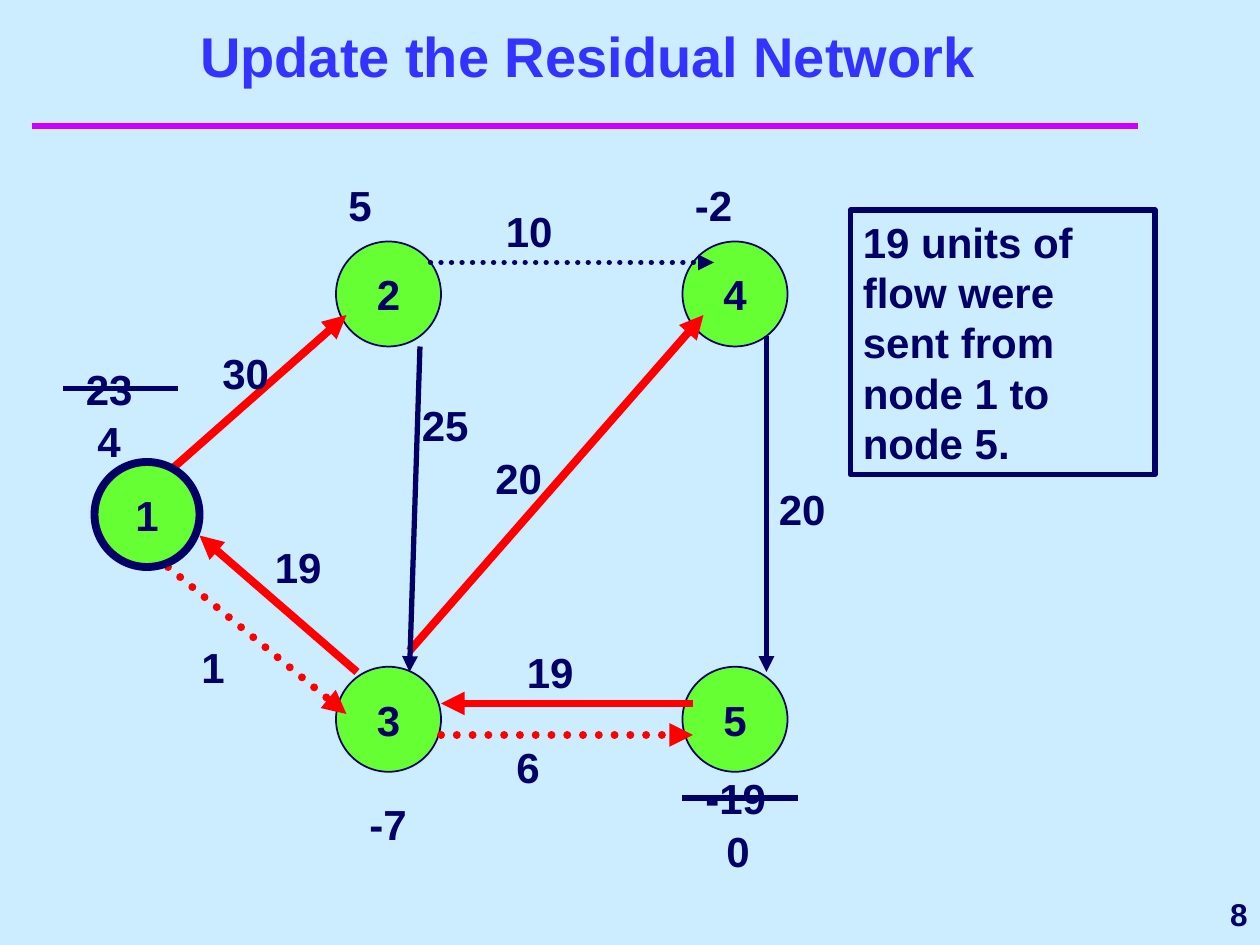
from dataclasses import dataclass

from lxml import etree
from pptx import Presentation
from pptx.dml.color import RGBColor
from pptx.enum import dml, shapes, text
from pptx.oxml import ns
from pptx.util import Emu, Pt

EMU_PER_PX = 7620  # 120 px to the inch
NODE_SIZE = 100
LABEL_HEIGHT = 60

SKY = RGBColor(0xCC, 0xEC, 0xFF)
MAGENTA = RGBColor(0xCC, 0x00, 0xFF)
BLUE = RGBColor(0x33, 0x33, 0xFF)
NAVY = RGBColor(0x00, 0x00, 0x66)
GREEN = RGBColor(0x66, 0xFF, 0x33)
RED = RGBColor(0xFF, 0x00, 0x00)


@dataclass
class Node:
    name: str
    left: int
    top: int
    line_width: float = 1


@dataclass
class Line:
    x1: int
    y1: int
    x2: int
    y2: int
    color: RGBColor = NAVY
    width: float = 3
    arrow: bool = True
    dotted: bool = False


@dataclass
class Label:
    words: str
    left: int
    top: int
    width: int = 90


NODES = [
    Node("2", 320, 230),
    Node("3", 320, 635),
    Node("5", 650, 635),
    Node("4", 650, 230),
]
SOURCE_NODE = Node("1", 90, 440, 4.5)

EDGES = [
    Line(160, 450, 330, 300, RED, 4.5),
    Line(410, 250, 680, 250, dotted=True),
    Line(730, 320, 730, 640),
    Line(390, 620, 670, 300, RED, 4.5),
    Line(160, 540, 330, 680, RED, 4.5, dotted=True),
    Line(420, 700, 660, 700, RED, 4.5, dotted=True),
    Line(400, 330, 390, 640),
]
REVERSE_EDGES = [
    Line(340, 640, 190, 510, RED, 4.5),
    Line(660, 670, 420, 670, RED, 4.5),
]
STRIKES = [
    Line(650, 760, 760, 760, arrow=False),
    Line(60, 370, 170, 370, arrow=False),
]

CAPACITIES = [
    Label("20", 730, 455, 140),
    Label("20", 460, 425, 140),
    Label("6", 480, 700, 140),
    Label("25", 390, 375, 140),
    Label("1", 180, 605, 80),
    Label("30", 200, 325, 140),
    Label("10", 470, 190, 140),
    Label("19", 250, 510, 80),
    Label("19", 490, 610, 140),
]
BALANCES = [
    Label("23", 70, 340),
    Label("4", 81, 390),
    Label("5", 320, 165),
    Label("-2", 650, 165),
    Label("-7", 340, 755),
    Label("-19", 660, 730),
    Label("0", 680, 780),
]


def px(length: int) -> Emu:
    return Emu(length * EMU_PER_PX)


def write(shape, words: str, size: int = 24, color: RGBColor = NAVY,
          align=text.PP_ALIGN.LEFT, anchor=text.MSO_ANCHOR.TOP,
          wrap: bool = True) -> None:
    frame = shape.text_frame
    frame.word_wrap = wrap
    frame.vertical_anchor = anchor
    para = frame.paragraphs[0]
    para.alignment = align
    span = para.add_run()
    span.text = words
    span.font.name = "Arial"
    span.font.size = Pt(size)
    span.font.bold = True
    span.font.color.rgb = color


def add_text(page, left: int, top: int, width: int, height: int,
             words: str, **style):
    box = page.shapes.add_textbox(px(left), px(top), px(width), px(height))
    write(box, words, **style)
    return box


def add_label(page, label: Label) -> None:
    add_text(page, label.left, label.top, label.width, LABEL_HEIGHT, label.words)


def add_node(page, node: Node) -> None:
    circle = page.shapes.add_shape(
        shapes.MSO_SHAPE.OVAL, px(node.left), px(node.top),
        px(NODE_SIZE), px(NODE_SIZE))
    circle.shadow.inherit = False
    circle.fill.solid()
    circle.fill.fore_color.rgb = GREEN
    circle.line.color.rgb = NAVY
    circle.line.width = Pt(node.line_width)
    write(circle, node.name, align=text.PP_ALIGN.CENTER,
          anchor=text.MSO_ANCHOR.MIDDLE, wrap=False)


def add_line(page, line: Line) -> None:
    connector = page.shapes.add_connector(
        shapes.MSO_CONNECTOR.STRAIGHT,
        px(line.x1), px(line.y1), px(line.x2), px(line.y2))
    connector.line.color.rgb = line.color
    connector.line.width = Pt(line.width)
    properties = connector.line._get_or_add_ln()
    if line.dotted:
        connector.line.dash_style = dml.MSO_LINE.ROUND_DOT
        properties.set("cap", "rnd")
    if line.arrow:
        etree.SubElement(properties, ns.qn("a:tailEnd"), type="triangle")
    etree.SubElement(connector._element.spPr, ns.qn("a:effectLst"))


def main() -> None:
    deck = Presentation()
    deck.slide_width, deck.slide_height = px(1200), px(900)
    page = deck.slides.add_slide(deck.slide_layouts[6])
    page.background.fill.solid()
    page.background.fill.fore_color.rgb = SKY

    # Title and rule
    add_line(page, Line(30, 120, 1084, 120, MAGENTA, 4, arrow=False))
    add_text(page, 50, 40, 1020, 50, "Update the Residual Network", size=32,
             color=BLUE, align=text.PP_ALIGN.CENTER,
             anchor=text.MSO_ANCHOR.BOTTOM)

    # Network, with the source node over its edges
    for node in NODES:
        add_node(page, node)
    for edge in EDGES:
        add_line(page, edge)
    add_node(page, SOURCE_NODE)

    # Explanation
    callout = add_text(page, 810, 200, 290, 252,
                       "19 units of flow were sent from node 1 to node 5.")
    callout.line.color.rgb = NAVY
    callout.line.width = Pt(3)

    # Capacities, balances and the updates to them
    for label in CAPACITIES + BALANCES:
        add_label(page, label)
    for line in STRIKES + REVERSE_EDGES:
        add_line(page, line)

    # Page number
    add_text(page, 970, 840, 230, 60, "8", size=18,
             align=text.PP_ALIGN.RIGHT, anchor=text.MSO_ANCHOR.MIDDLE)

    deck.save("out.pptx")


if __name__ == "__main__":
    main()
